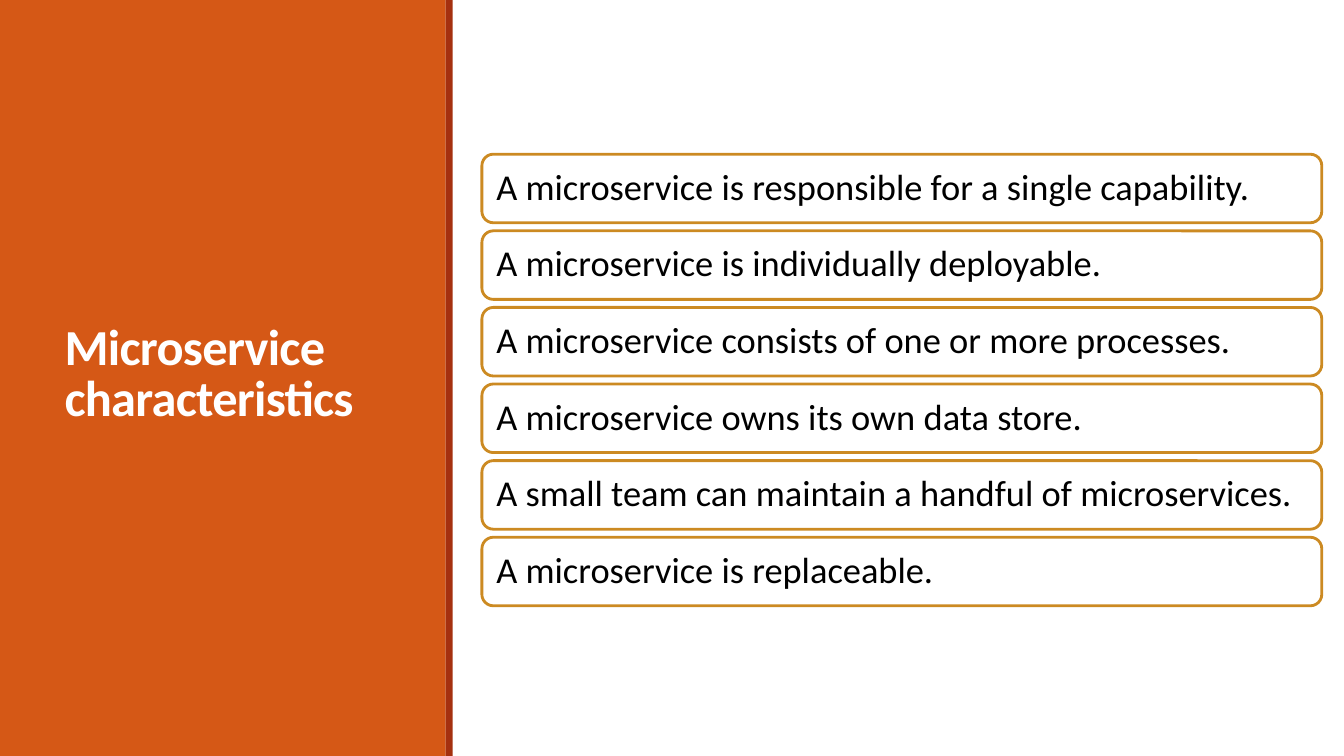
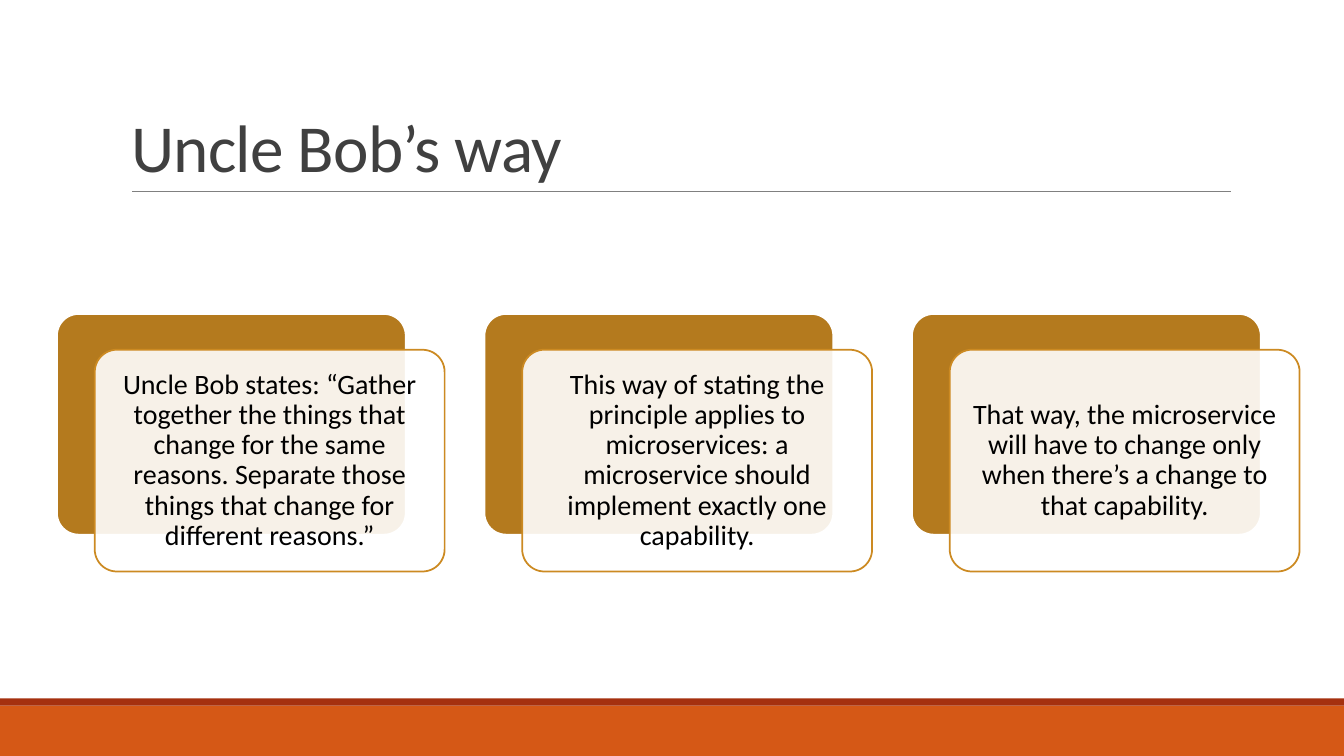
from lxml import etree
from pptx import Presentation
from pptx.dml.color import RGBColor
from pptx.enum.shapes import MSO_CONNECTOR, MSO_SHAPE
from pptx.enum.text import MSO_ANCHOR, MSO_AUTO_SIZE, PP_ALIGN
from pptx.oxml.ns import qn
from pptx.util import Inches, Pt

RECT, ROUNDED = MSO_SHAPE.RECTANGLE, MSO_SHAPE.ROUNDED_RECTANGLE
STRAIGHT = MSO_CONNECTOR.STRAIGHT
LEFT, CENTER = PP_ALIGN.LEFT, PP_ALIGN.CENTER
MIDDLE, BOTTOM = MSO_ANCHOR.MIDDLE, MSO_ANCHOR.BOTTOM
NO_FIT = MSO_AUTO_SIZE.NONE

WIDTH, HEIGHT = 13.33, 7.5
TITLE_ONLY = 5
EDGE = 0.07  # thickness of the dark edge beside each orange band
COLORS = {"band": "D55816", "edge": "A5300F", "gold": "CC8A22", "card": "B47A1E",
          "white": "FFFFFF", "black": "000000", "title": "404040", "rule": "808080"}
COLORS = {name: RGBColor.from_string(value) for name, value in COLORS.items()}


def add_box(page, kind, at, fill, line=None, weight=0):
    box = page.shapes.add_shape(kind, *map(Inches, at))
    box.shadow.inherit = False
    box.fill.solid()
    box.fill.fore_color.rgb = COLORS[fill]
    if line:
        box.line.color.rgb = COLORS[line]
        box.line.width = Pt(weight)
    else:
        box.line.fill.background()
    return box


def write(box, text, size, color, align, anchor, spacing, inset, bold=False):
    frame = box.text_frame
    margins = {f"margin_{side}": Inches(inset[side in ("top", "bottom")])
               for side in ("left", "top", "right", "bottom")}
    layout = {"word_wrap": True, "auto_size": NO_FIT, "vertical_anchor": anchor}
    for name, value in (margins | layout).items():
        setattr(frame, name, value)
    para = frame.paragraphs[0]
    para.alignment, para.line_spacing = align, spacing
    span = para.add_run()
    span.text = text
    look = {"name": "Calibri", "size": Pt(size), "bold": bold}
    for name, value in look.items():
        setattr(span.font, name, value)
    span.font.color.rgb = COLORS[color]
    return span


deck = Presentation()
deck.slide_width, deck.slide_height = Inches(WIDTH), Inches(HEIGHT)

# Bands and titles of both slides
SIDE, FOOT = 4.42, 7
FRAMES = [
    {"band": (0, 0, SIDE, HEIGHT), "edge": (SIDE, 0, EDGE, HEIGHT),
     "title": (0.54, 0.57, 3.37, 6.31), "text": "Microservice characteristics",
     "format": {"size": 36, "color": "white", "anchor": MIDDLE, "bold": True}},
    {"band": (0, FOOT, WIDTH, HEIGHT - FOOT), "edge": (0, FOOT - EDGE, WIDTH, EDGE),
     "title": (1.2, 0.31, 11, 1.59), "text": "Uncle Bob’s way",
     "format": {"size": 48, "color": "title", "anchor": BOTTOM}},
]
pages = []
for frame in FRAMES:
    page = deck.slides.add_slide(deck.slide_layouts[TITLE_ONLY])
    for part in ("band", "edge"):
        add_box(page, RECT, frame[part], part)
    title = page.shapes.title
    title.left, title.top, title.width, title.height = map(Inches, frame["title"])
    span = write(title, frame["text"], align=LEFT, spacing=0.85, inset=(0.1, 0.05),
                 **frame["format"])
    span.font._element.set("spc", "-50")
    title._element.getparent().append(title._element)  # in front of the bands
    pages.append(page)
list_page, card_page = pages

# Slide 1: stacked statements
STATEMENTS = [
    "A microservice is responsible for a single capability.",
    "A microservice is individually deployable.",
    "A microservice consists of one or more processes.",
    "A microservice owns its own data store.",
    "A small team can maintain a handful of microservices.",
    "A microservice is replaceable.",
]
ROW_HEIGHT, ROW_GAP = 0.68, 0.08
stack = len(STATEMENTS) * (ROW_HEIGHT + ROW_GAP) - ROW_GAP
first_row = (HEIGHT - stack) / 2 + 0.02
for row, statement in enumerate(STATEMENTS):
    top = first_row + row * (ROW_HEIGHT + ROW_GAP)
    box = add_box(list_page, ROUNDED, (4.78, top, 8.33, ROW_HEIGHT), "white", "gold", 2)
    write(box, statement, 26, "black", LEFT, MIDDLE, 0.9, (0.11, 0.11))

# Slide 2: rule under the title
rule = card_page.shapes.add_connector(
    STRAIGHT, *map(Inches, (1.31, 1.9, 12.21, 1.9)))
rule.line.color.rgb = COLORS["rule"]
rule.line.width = Pt(0.5)
etree.SubElement(rule._element.spPr, qn("a:effectLst"))

# Slide 2: translucent cards, each offset from a solid one
CARDS = [
    "Uncle Bob states: “Gather together the things that change for the same reasons. "
    "Separate those things that change for different reasons.”",
    "This way of stating the principle applies to microservices: a microservice should "
    "implement exactly one capability.",
    "That way, the microservice will have to change only when there’s a change to that "
    "capability.",
]
CARD_WIDTH, CARD_HEIGHT, COLUMN = 3.47, 2.2, 4.24
for column, text in enumerate(CARDS):
    left, top = 0.56 + column * COLUMN, 3.11
    back = add_box(card_page, ROUNDED, (left, top, CARD_WIDTH, CARD_HEIGHT),
                   "card", "white", 2)
    front = add_box(card_page, ROUNDED, (left + 0.38, top + 0.36, CARD_WIDTH, CARD_HEIGHT),
                    "white", "gold", 1.25)
    for box in (back, front):
        box.adjustments[0] = 0.1
    fill_color = front._element.spPr.find(qn("a:solidFill"))[0]
    etree.SubElement(fill_color, qn("a:alpha"), val="90000")
    write(front, text, 20, "black", CENTER, MIDDLE, 0.9, (0.08, 0.08))

deck.save("out.pptx")
